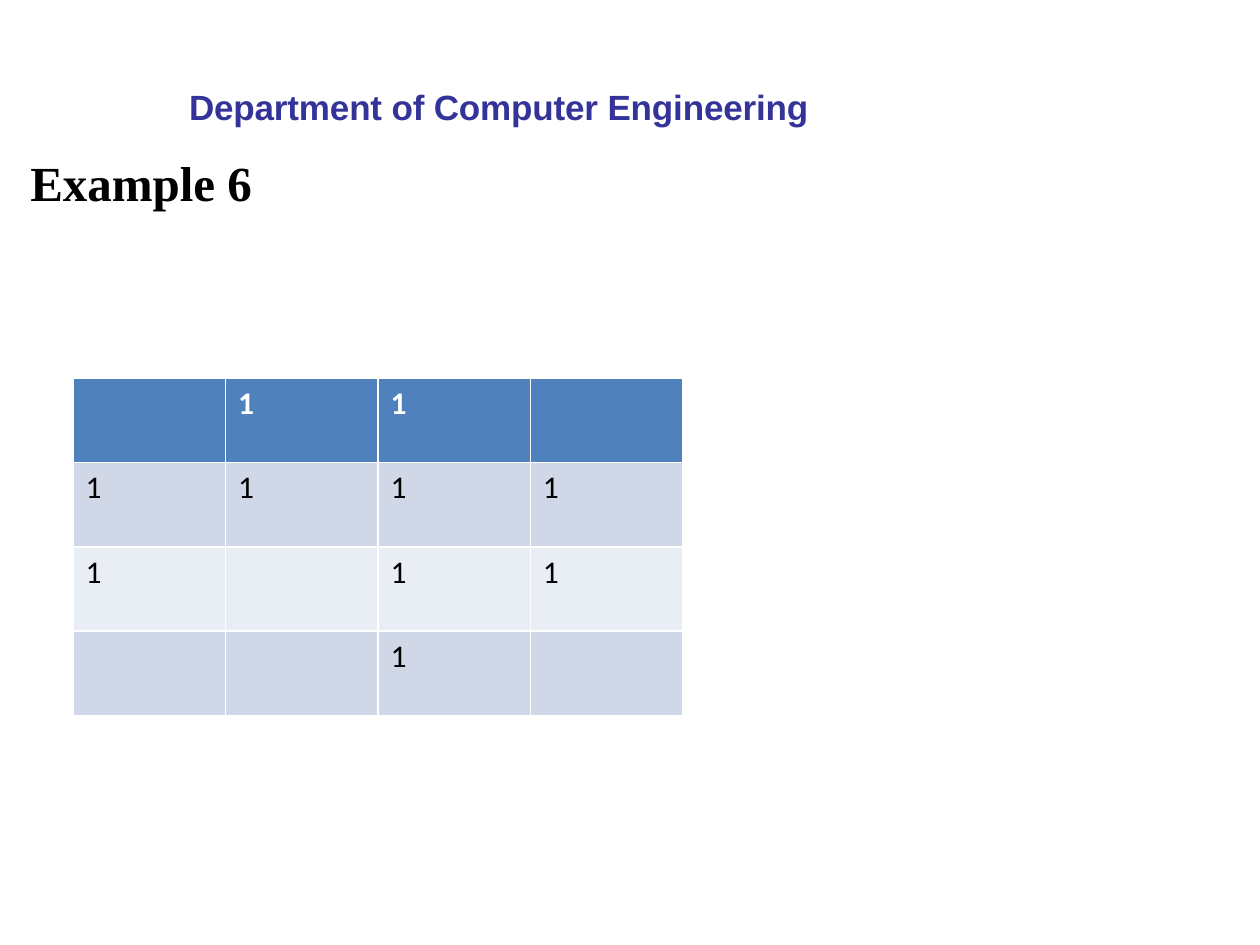
"""Build the Example 6 slide: a department heading, a title and a map of ones."""
from dataclasses import dataclass

from pptx import Presentation
from pptx.dml.color import RGBColor
from pptx.enum.text import MSO_ANCHOR, MSO_AUTO_SIZE, PP_ALIGN
from pptx.util import Inches, Pt

LEFT = PP_ALIGN.LEFT
TOP = MSO_ANCHOR.TOP
FIT_SHAPE = MSO_AUTO_SIZE.SHAPE_TO_FIT_TEXT
TITLE_ONLY = 5
PAGE_WIDTH, PAGE_HEIGHT = Inches(10), Inches(7.5)
COLUMN_WIDTH, ROW_HEIGHT = Inches(1.21), Inches(0.67)
HEADER_FILL = "4F81BD"
BAND_FILLS = ("E9EDF4", "D0D8E8")
MAP_ROWS = (
    ("", "1", "1", ""),
    ("1", "1", "1", "1"),
    ("1", "", "1", "1"),
    ("", "", "1", ""),
)


@dataclass(frozen=True)
class TextStyle:
    font: str
    size: float
    color: str
    bold: bool = False
    spacing: float = 0


@dataclass(frozen=True)
class Frame:
    left: int
    top: int
    width: int
    height: int


TITLE_STYLE = TextStyle("Times New Roman", 28, "000000", True)
DEPARTMENT_STYLE = TextStyle("Arial", 20, "333399", True, -0.1)
HEADER_STYLE = TextStyle("Calibri", 18, "FFFFFF", True)
BODY_STYLE = TextStyle("Calibri", 18, "000000")


def color(value: str) -> RGBColor:
    return RGBColor.from_string(value)


def add_span(para, text: str, style: TextStyle) -> None:
    span = para.add_run()
    span.text = text
    span.font.name = style.font
    span.font.size = Pt(style.size)
    span.font.bold = style.bold
    span.font.color.rgb = color(style.color)
    if style.spacing:
        span._r.get_or_add_rPr().set("spc", str(round(style.spacing * 100)))


def fill_box(box, frame: Frame, text: str, style: TextStyle, inset_top: float = 0) -> None:
    box.left, box.top = frame.left, frame.top
    box.width, box.height = frame.width, frame.height
    body = box.text_frame
    body.word_wrap = True
    body.auto_size = FIT_SHAPE
    body.vertical_anchor = TOP
    body.margin_left = body.margin_right = body.margin_bottom = 0
    body.margin_top = Inches(inset_top)
    para = body.paragraphs[0]
    para.alignment = LEFT
    add_span(para, text, style)


def add_map(page, left: int, top: int) -> None:
    row_count, column_count = len(MAP_ROWS), len(MAP_ROWS[0])
    table = page.shapes.add_table(
        row_count, column_count, left, top,
        COLUMN_WIDTH * column_count, ROW_HEIGHT * row_count,
    ).table
    for row, values in enumerate(MAP_ROWS):
        fill = BAND_FILLS[row % 2] if row else HEADER_FILL
        style = BODY_STYLE if row else HEADER_STYLE
        for column, value in enumerate(values):
            cell = table.cell(row, column)
            cell.fill.solid()
            cell.fill.fore_color.rgb = color(fill)
            if value:
                add_span(cell.text_frame.paragraphs[0], value, style)


def main() -> None:
    deck = Presentation()
    deck.slide_width, deck.slide_height = PAGE_WIDTH, PAGE_HEIGHT
    page = deck.slides.add_slide(deck.slide_layouts[TITLE_ONLY])
    title_frame = Frame(Inches(0.24), Inches(1.21), Inches(2.97), Inches(0.47))
    fill_box(page.shapes.title, title_frame, "Example 6", TITLE_STYLE)
    add_map(page, Inches(0.58), Inches(3))
    department_frame = Frame(Inches(1.5), Inches(0.66), Inches(4.98), Inches(0.36))
    department = page.shapes.add_textbox(0, 0, 0, 0)
    fill_box(department, department_frame, "Department of Computer Engineering",
             DEPARTMENT_STYLE, 0.02)
    deck.save("out.pptx")


if __name__ == "__main__":
    main()
